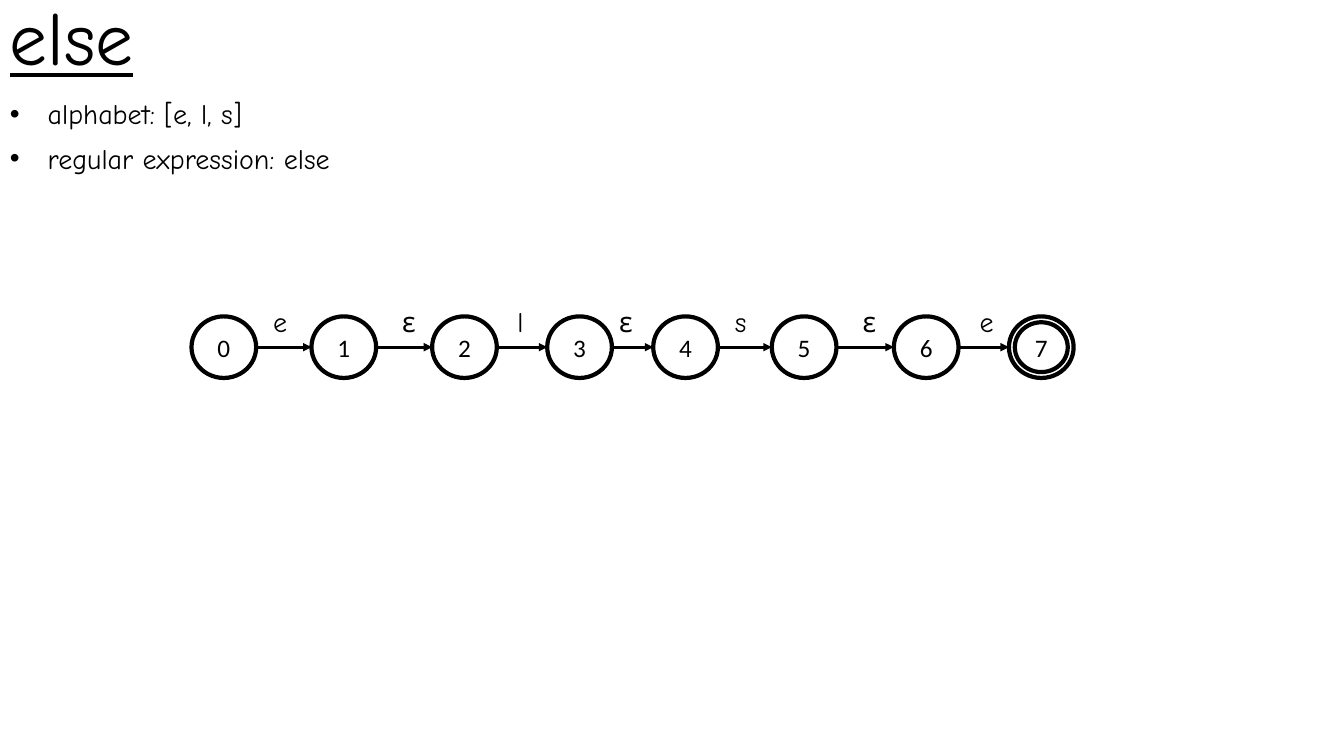
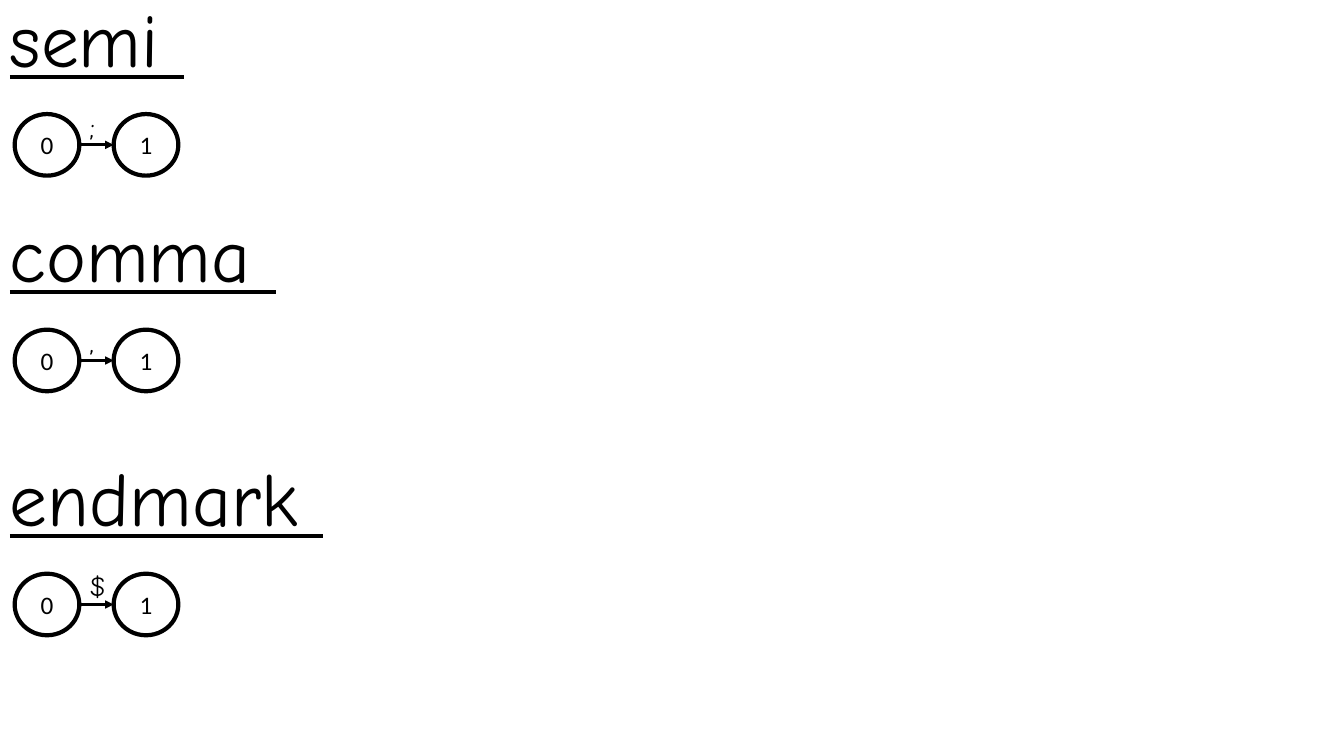
from dataclasses import dataclass

from lxml import etree
from pptx import Presentation
from pptx.dml.color import RGBColor
from pptx.enum.shapes import MSO_CONNECTOR, MSO_SHAPE
from pptx.enum.text import MSO_ANCHOR, PP_ALIGN
from pptx.oxml.ns import qn
from pptx.util import Pt

OVAL = MSO_SHAPE.OVAL
STRAIGHT = MSO_CONNECTOR.STRAIGHT
TOP, MIDDLE, BOTTOM = MSO_ANCHOR.TOP, MSO_ANCHOR.MIDDLE, MSO_ANCHOR.BOTTOM
LEFT, CENTER = PP_ALIGN.LEFT, PP_ALIGN.CENTER


@dataclass(frozen=True)
class Theme:
    ink: RGBColor = RGBColor(0, 0, 0)
    hand_font: str = "Comic Neue"
    state_font: str = "Calibri"
    title_size: int = 54
    body_size: int = 20
    state_size: int = 18
    ring_width: int = 3
    arrow_width: int = 2


THEME = Theme()
STATE_W, STATE_H = 46.2, 44
RING_INSET = 4.2


def write(tf, lines, size, font=THEME.hand_font, align=LEFT, anchor=TOP,
          spacing=None, gap=0, underline=None, bullet=None, indent=0):
    tf.word_wrap = True
    tf.vertical_anchor = anchor
    for i, line in enumerate(lines):
        p = tf.add_paragraph() if i else tf.paragraphs[0]
        p.alignment = align
        p.line_spacing = spacing
        if i:
            p.space_before = Pt(gap)
        if bullet:
            pPr = p._p.get_or_add_pPr()
            pPr.set("marL", str(Pt(indent)))
            pPr.set("indent", str(-Pt(indent)))
            etree.SubElement(pPr, qn("a:buFont")).set("typeface", "Arial")
            etree.SubElement(pPr, qn("a:buChar")).set("char", bullet)
        r = p.add_run()
        r.text = line
        r.font.name = font
        r.font.size = Pt(size)
        r.font.underline = underline
        r.font.color.rgb = THEME.ink


class Deck:
    def __init__(self, width, height):
        self.prs = Presentation()
        self.prs.slide_width = Pt(width)
        self.prs.slide_height = Pt(height)
        self.s = None

    def new_slide(self):
        self.s = self.prs.slides.add_slide(self.prs.slide_layouts[6])

    def text(self, x, y, w, h, lines, size, **fmt):
        sp = self.s.shapes.add_textbox(Pt(x), Pt(y), Pt(w), Pt(h))
        write(sp.text_frame, lines, size, **fmt)

    def title(self, text, y=0, spacing=0.9):
        self.text(0, y, 720, 62, [text], THEME.title_size,
                  anchor=BOTTOM, spacing=spacing, underline=True)

    def bullets(self, y, lines):
        self.text(0, y, 960, 61, lines, THEME.body_size, spacing=0.9,
                  gap=10, bullet="•", indent=27)

    def ring(self, x, y, w, h):
        sp = self.s.shapes.add_shape(OVAL, Pt(x), Pt(y), Pt(w), Pt(h))
        sp.shadow.inherit = False
        sp.fill.background()
        sp.line.color.rgb = THEME.ink
        sp.line.width = Pt(THEME.ring_width)
        return sp

    def state(self, x, y, name, final=False):
        sp = self.ring(x, y, STATE_W, STATE_H)
        write(sp.text_frame, [name], THEME.state_size, font=THEME.state_font,
              align=CENTER, anchor=MIDDLE)
        if final:
            self.ring(x + RING_INSET, y + RING_INSET,
                      STATE_W - 2 * RING_INSET, STATE_H - 2 * RING_INSET)

    def arrow(self, x1, x2, y):
        cxn = self.s.shapes.add_connector(STRAIGHT, Pt(x1), Pt(y), Pt(x2), Pt(y))
        cxn.line.color.rgb = THEME.ink
        cxn.line.width = Pt(THEME.arrow_width)
        ln = cxn.line._get_or_add_ln()
        etree.SubElement(ln, qn("a:tailEnd")).set("type", "triangle")
        etree.SubElement(cxn._element.spPr, qn("a:effectLst"))

    def automaton(self, x, y, steps, label_dy, double_final=False):
        self.state(x, y, "0")
        for i, (symbol, gap, label_dx) in enumerate(steps, 1):
            start = x + STATE_W
            x = start + gap
            self.arrow(start, x, y + STATE_H / 2)
            self.text(start + label_dx, y + label_dy, 40, 50, [symbol],
                      THEME.body_size, spacing=0.9)
            self.state(x, y, str(i), final=double_final and i == len(steps))


def main():
    deck = Deck(960, 540)

    deck.new_slide()
    deck.title("else")
    deck.bullets(68.4, ["alphabet: [e, l, s]", "regular expression: else"])
    else_steps = [("e", 39.5, 5), ("ε", 40, 11.5), ("l", 36, 7.5),
                  ("ε", 29.5, -2), ("s", 38.5, 5), ("ε", 41, 11.5),
                  ("e", 36, 8)]
    deck.automaton(136.8, 226, else_steps, label_dy=-9, double_final=True)

    deck.new_slide()
    for name, symbol, y in [("semi ", ";", 0), ("comma ", ",", 154),
                            ("endmark ", "$", 328.3)]:
        deck.title(name, y, spacing=0.8)
        deck.automaton(10.5, y + 81.5, [(symbol, 24.5, 0)], label_dy=-4.3)

    deck.prs.save("out.pptx")


if __name__ == "__main__":
    main()
